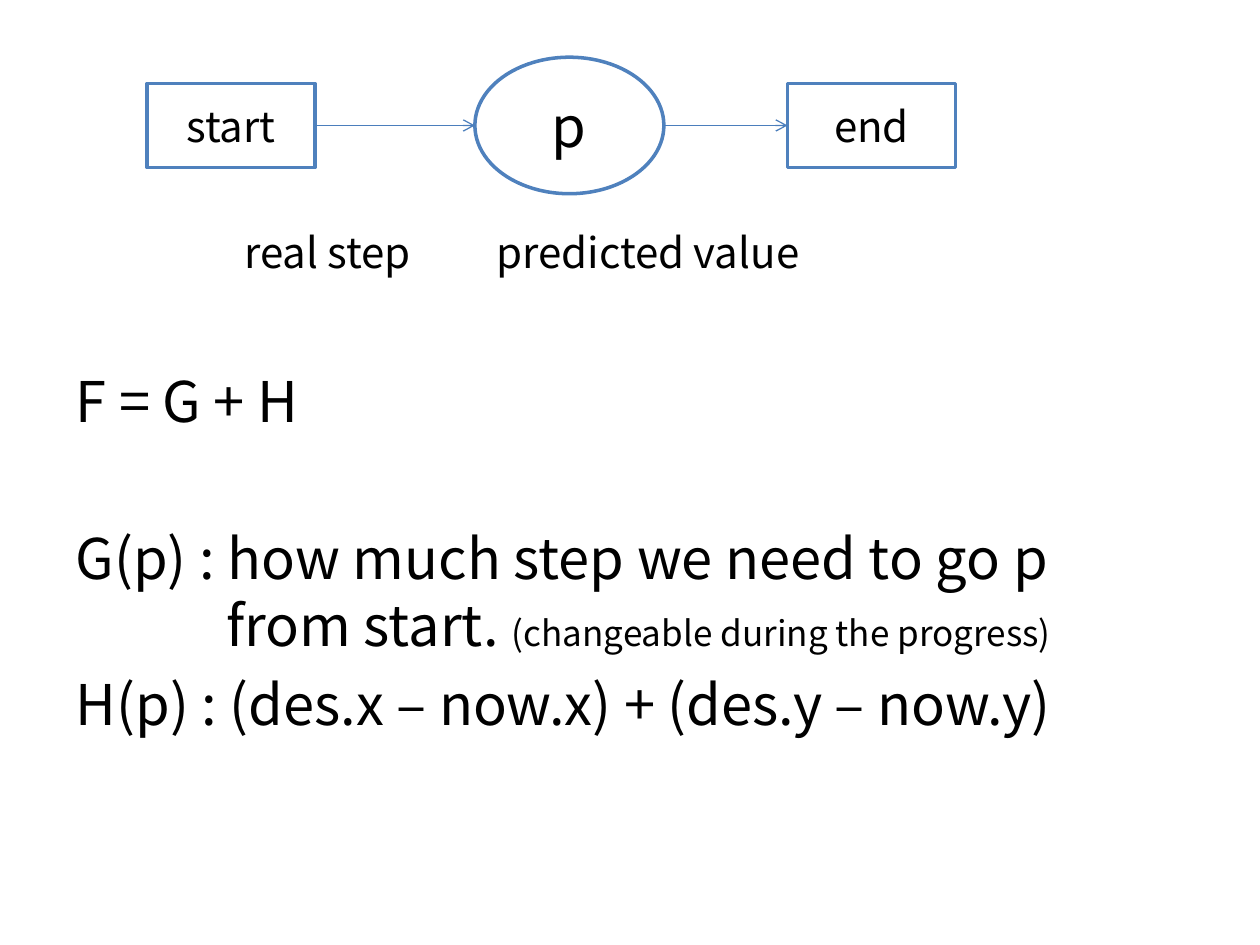
from lxml import etree
from pptx import Presentation
from pptx.dml.color import RGBColor
from pptx.enum.shapes import MSO_CONNECTOR, MSO_SHAPE
from pptx.enum.text import MSO_ANCHOR, PP_ALIGN
from pptx.oxml.ns import qn
from pptx.util import Pt

RECT, OVAL = MSO_SHAPE.RECTANGLE, MSO_SHAPE.OVAL
STRAIGHT = MSO_CONNECTOR.STRAIGHT
LEFT, CENTER = PP_ALIGN.LEFT, PP_ALIGN.CENTER
TOP, MIDDLE = MSO_ANCHOR.TOP, MSO_ANCHOR.MIDDLE

FONT = "Noto Sans CJK KR"
BLACK, WHITE, BLUE, ARROW_BLUE = "000000", "FFFFFF", "4F81BD", "4B7EBC"
AXIS_Y = 71.7

NODES = [
    ("start", RECT, 84, 96, 48, 24),
    ("p", OVAL, 271.4, 108, 78, 32),
    ("end", RECT, 450, 96, 48, 24),
]
CAPTIONS = [("real step", 139.6, 110), ("predicted value", 283.6, 190)]
FORMULAS = [
    ([("F = G + H", 32)], 0),
    ([("G(p) : how much step we need to go p from start. ", 32),
      ("(changeable during the progress)", 20)], 51.4),
    ([("H(p) : (des.x – now.x) + (des.y – now.y)", 32)], 6.8),
]


def rgb(value):
    return RGBColor.from_string(value)


def write(sp, paragraphs, align=LEFT, anchor=TOP, hang=0):
    tf = sp.text_frame
    tf.word_wrap = True
    tf.vertical_anchor = anchor
    tf.margin_left = tf.margin_right = tf.margin_top = tf.margin_bottom = 0
    for i, (runs, before) in enumerate(paragraphs):
        p = tf.add_paragraph() if i else tf.paragraphs[0]
        p.alignment = align
        p.space_before = Pt(before)
        if hang:
            pPr = p._p.get_or_add_pPr()
            pPr.set("marL", str(Pt(hang)))
            pPr.set("indent", str(-Pt(hang)))
        for text, size in runs:
            r = p.add_run()
            r.text = text
            r.font.name = FONT
            r.font.size = Pt(size)
            r.font.color.rgb = rgb(BLACK)
            ea = etree.SubElement(r.font._element, qn("a:ea"))
            ea.set("typeface", FONT)


def add_text(s, x, y, w, h, paragraphs, **fmt):
    write(s.shapes.add_textbox(Pt(x), Pt(y), Pt(w), Pt(h)), paragraphs, **fmt)


def add_node(s, text, kind, x, w, h, size):
    sp = s.shapes.add_shape(kind, Pt(x), Pt(AXIS_Y - h / 2), Pt(w), Pt(h))
    sp.shadow.inherit = False
    sp.fill.solid()
    sp.fill.fore_color.rgb = rgb(WHITE)
    sp.line.color.rgb = rgb(BLUE)
    sp.line.width = Pt(2)
    write(sp, [([(text, size)], 0)], align=CENTER, anchor=MIDDLE)
    return sp


def add_arrow(s, a, b):
    c = s.shapes.add_connector(STRAIGHT, a.left + a.width, Pt(AXIS_Y), b.left, Pt(AXIS_Y))
    if a.auto_shape_type == RECT:
        c.begin_connect(a, 3)
    if b.auto_shape_type == RECT:
        c.end_connect(b, 1)
    c.line.color.rgb = rgb(ARROW_BLUE)
    c.line.width = Pt(0.75)
    etree.SubElement(c.line._get_or_add_ln(), qn("a:tailEnd")).set("type", "arrow")
    etree.SubElement(c._element.spPr, qn("a:effectLst"))


def main():
    prs = Presentation()
    prs.slide_width, prs.slide_height = Pt(720), Pt(540)
    s = prs.slides.add_slide(prs.slide_layouts[6])
    for text, x, w in CAPTIONS:
        add_text(s, x, 129.5, w, 35, [([(text, 24)], 0)])
    add_text(s, 43.2, 209.2, 577, 220, FORMULAS, hang=86)
    nodes = [add_node(s, *node) for node in NODES]
    for a, b in zip(nodes, nodes[1:]):
        add_arrow(s, a, b)
    prs.save("out.pptx")


if __name__ == "__main__":
    main()
